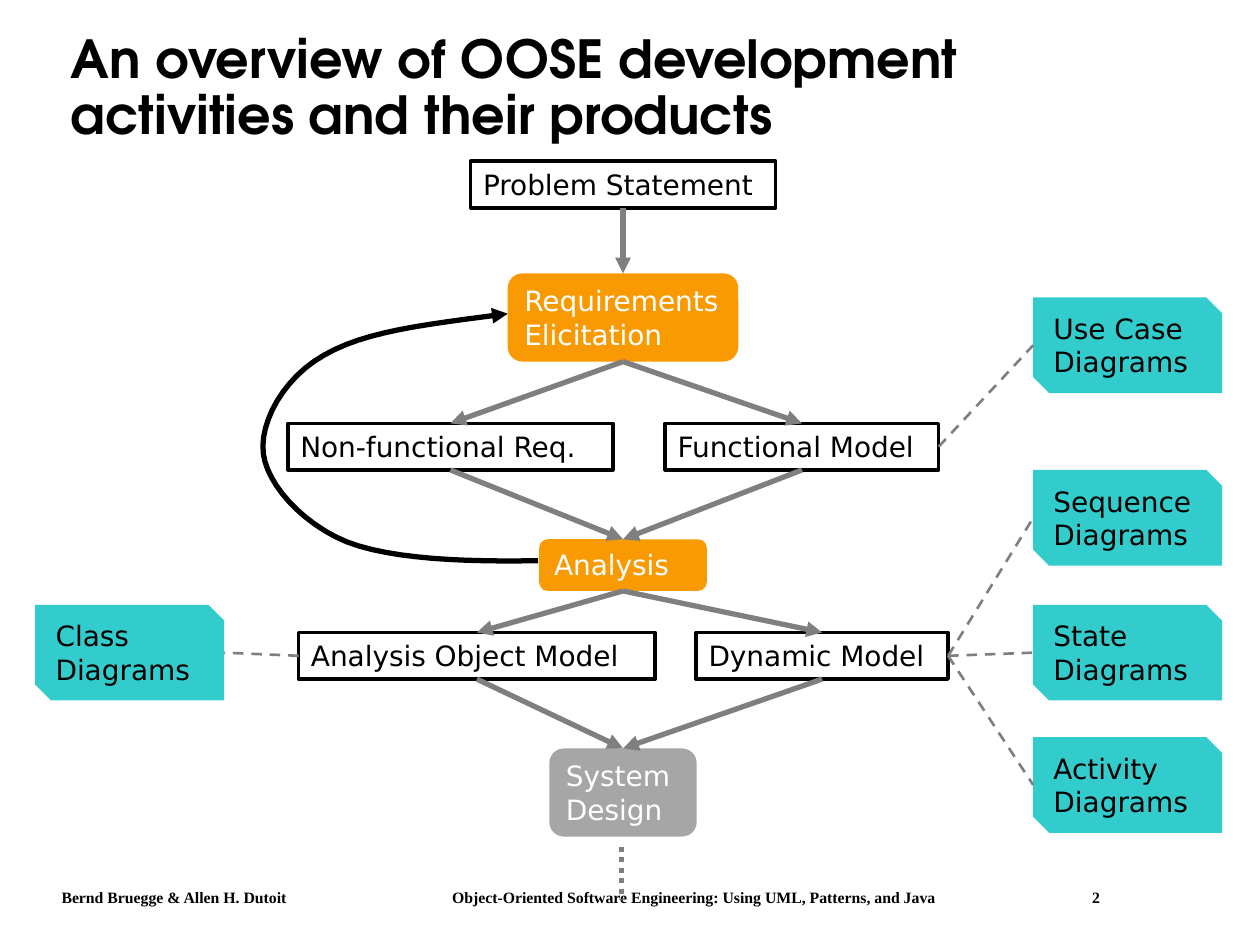
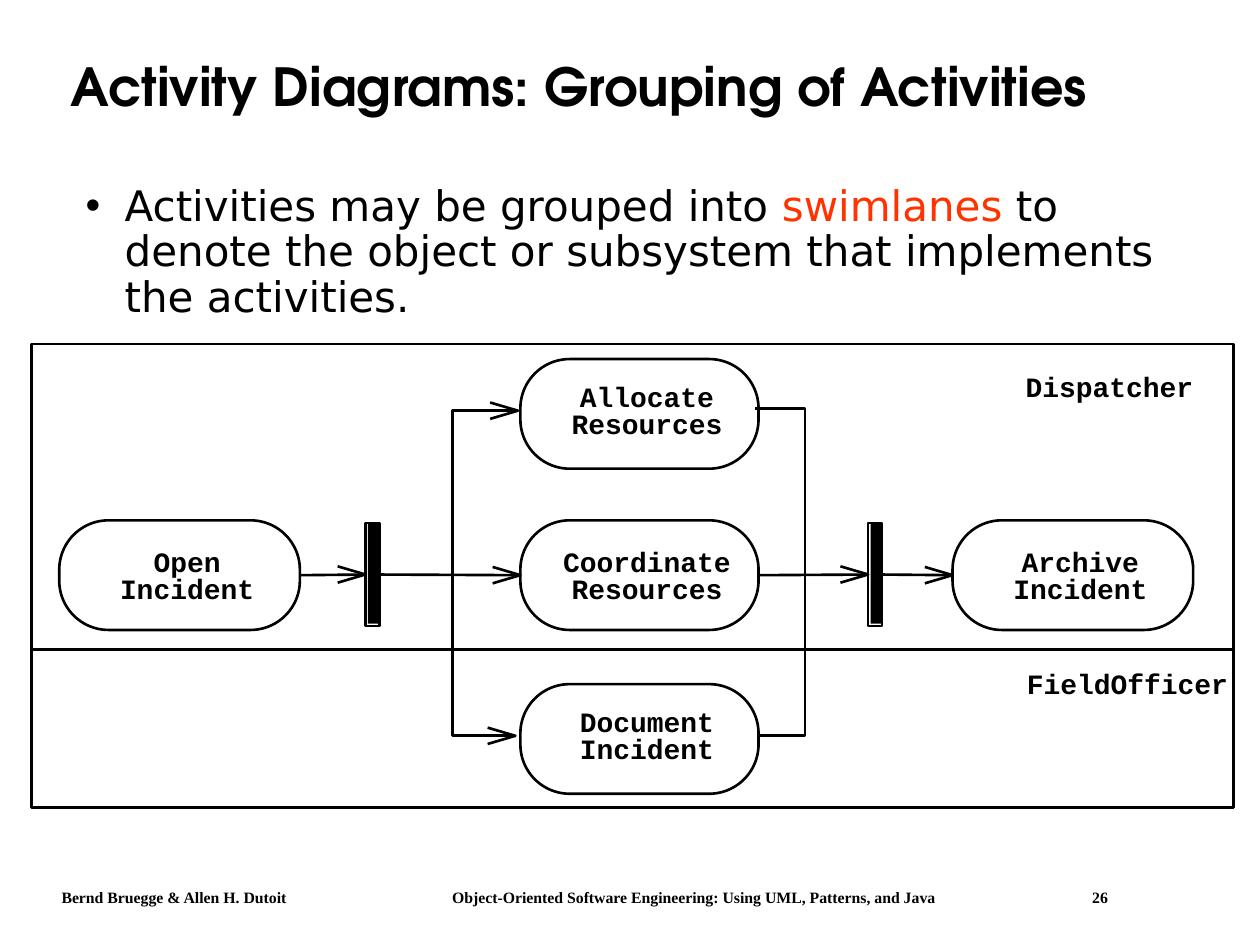
from dataclasses import dataclass

from lxml import etree
from pptx import Presentation
from pptx import util as u
from pptx.dml.color import RGBColor
from pptx.enum import dml, shapes, text
from pptx.oxml import ns

BLACK = RGBColor(0x00, 0x00, 0x00)
WHITE = RGBColor(0xFF, 0xFF, 0xFF)
ORANGE = RGBColor(0xF9, 0x9A, 0x03)
TEAL = RGBColor(0x33, 0xCC, 0xCC)
SILVER = RGBColor(0xA6, 0xA6, 0xA6)
GRAY = RGBColor(0x7F, 0x7F, 0x7F)
RED = RGBColor(0xFF, 0x33, 0x00)

COLUMNS = 100
SLIDE_W, SLIDE_H = u.Inches(10), u.Inches(7.5)
CELL = SLIDE_W // COLUMNS

TITLE_FONT = dict(name="TeX Gyre Adventor", size=u.Pt(30), bold=True)
BODY_FONT = dict(name="DejaVu Sans", size=u.Pt(24), bold=False)
NODE_FONT = dict(BODY_FONT, size=u.Pt(16))
CODE_FONT = dict(name="Courier New", size=u.Pt(16), bold=True)
FOOTER_FONT = dict(name="Times New Roman", size=u.Pt(9), bold=True)

TOP, LEFT, BOTTOM, RIGHT = range(4)
MSO = shapes.MSO_SHAPE
ALIGN = text.PP_ALIGN
ANCHOR = text.MSO_ANCHOR

AUTHORS = "Bernd Bruegge & Allen H. Dutoit"
BOOK = "Object-Oriented Software Engineering: Using UML, Patterns, and Java"


@dataclass(frozen=True)
class Box:
    x: float
    y: float
    w: float
    h: float

    def sub(self, x, y, w, h):
        return Box(self.x + x, self.y + y, w, h)

    def point(self, x, y):
        return grid(self.x + x), grid(self.y + y)

    def emu(self):
        return [grid(v) for v in (self.x, self.y, self.w, self.h)]


TITLE = Box(4.6, 2.4, 89.2, 9.4)
BODY = Box(5.8, 14.2, 87.5, 52.5)
FOOTER = Box(3.9, 70, 91.7, 2.5)
FLOW = Box(19.45, 12.8, 60, 58.6)
CARDS = Box(2.8, 23.6, 94.2, 42.5)
LANES = Box(2.5, 27.3, 95.4, 36.8)


def grid(cells):
    return u.Emu(round(cells * CELL))


def apply(obj, fmt):
    for name, value in fmt.items():
        setattr(obj, name, value)


def move(sp, box):
    apply(sp, dict(zip(("left", "top", "width", "height"), box.emu())))


def write(p, words, font, color=BLACK):
    r = p.add_run()
    r.text = words
    apply(r.font, font)
    r.font.color.rgb = color
    return r


def set_line(line, color, width, dash=None, arrow=False):
    line.color.rgb = color
    line.width = u.Pt(width)
    if dash:
        line.dash_style = dash
    if arrow:
        ln = line._get_or_add_ln()
        etree.SubElement(ln, ns.qn("a:tailEnd"), type="triangle")


def add_shape(s, kind, box, fill=None, line=None):
    sp = s.shapes.add_shape(kind, *box.emu())
    sp.shadow.inherit = False
    if fill is None:
        sp.fill.background()
    else:
        sp.fill.solid()
        sp.fill.fore_color.rgb = fill
    if line:
        set_line(sp.line, BLACK, line)
    else:
        sp.line.fill.background()
    return sp


def add_line(s, start, end, color, width, **style):
    sp = s.shapes.add_connector(shapes.MSO_CONNECTOR.STRAIGHT, *start, *end)
    set_line(sp.line, color, width, **style)
    etree.SubElement(sp._element.spPr, ns.qn("a:effectLst"))
    return sp


def link(s, source, source_side, target, target_side, color, width, **style):
    sp = add_line(s, (0, 0), (0, 0), color, width, **style)
    sp.begin_connect(source, source_side)
    sp.end_connect(target, target_side)
    return sp


def add_path(s, points, width, arrow=False):
    builder = s.shapes.build_freeform(*points[0])
    builder.add_line_segments(points[1:], close=False)
    sp = builder.convert_to_shape()
    sp.shadow.inherit = False
    sp.fill.background()
    set_line(sp.line, BLACK, width, arrow=arrow)


def fill_text(sp, words, font, color=BLACK, align=ALIGN.LEFT):
    tf = sp.text_frame
    apply(tf, dict(word_wrap=True, vertical_anchor=ANCHOR.TOP))
    p = tf.paragraphs[0]
    p.alignment = align
    write(p, words, font, color)
    return tf


def add_label(s, box, words):
    tf = s.shapes.add_textbox(*box.emu()).text_frame
    apply(tf, dict(margin_left=0, margin_right=0, margin_top=0,
                   margin_bottom=0, word_wrap=False))
    write(tf.paragraphs[0], words, CODE_FONT)


def add_footer(s, box, number):
    tf = s.shapes.add_textbox(*box.emu()).text_frame
    tf.word_wrap = True
    p = tf.paragraphs[0]
    tabs = etree.SubElement(p._p.get_or_add_pPr(), ns.qn("a:tabLst"))
    for stop in (31, 81.8):
        etree.SubElement(tabs, ns.qn("a:tab"), pos=str(grid(stop)), algn="l")
    write(p, f"{AUTHORS}\t{BOOK}\t{number}", FOOTER_FONT)


def add_slide(prs, layout, title, number):
    s = prs.slides.add_slide(prs.slide_layouts[layout])
    add_footer(s, FOOTER, number)
    sp = s.shapes.title
    move(sp, TITLE)
    tf = sp.text_frame
    apply(tf, dict(vertical_anchor=ANCHOR.MIDDLE, word_wrap=True,
                   auto_size=text.MSO_AUTO_SIZE.NONE))
    p = tf.paragraphs[0]
    apply(p, dict(alignment=ALIGN.LEFT, line_spacing=0.9))
    write(p, title, TITLE_FONT)
    return s


def bezier(p0, p1, p2, p3, steps=12):
    for i in range(1, steps + 1):
        t = i / steps
        weights = ((1 - t) ** 3, 3 * t * (1 - t) ** 2, 3 * t * t * (1 - t), t ** 3)
        yield tuple(sum(k * p[axis] for k, p in zip(weights, (p0, p1, p2, p3)))
                    for axis in (0, 1))


def draw_feedback(s, box):
    knots = [(23.25, 31.7), (17.55, 31.8), (11.65, 31.6), (8.05, 30.2),
             (4.45, 28.7), (1.75, 25.6), (1.45, 23.2),
             (1.15, 20.7), (3.05, 17.2), (6.25, 15.4),
             (9.55, 13.5), (13.95, 13), (20.85, 12.1)]
    points = [knots[0]]
    for i in range(0, len(knots) - 1, 3):
        points += bezier(*knots[i:i + 4])
    add_path(s, [box.point(*pt) for pt in points], 3, arrow=True)


def draw_flow(s, box):
    draw_feedback(s, box)
    axis = box.w / 2
    product = (MSO.RECTANGLE, WHITE, 2, BLACK)
    activity = (MSO.ROUNDED_RECTANGLE, ORANGE, None, WHITE)
    future = (MSO.ROUNDED_RECTANGLE, SILVER, None, WHITE)
    nodes = {}
    for words, shift, y, w, h, style in (
        ("Problem Statement", 0, 0, 24.2, 3.7, product),
        ("Requirements Elicitation", 0, 8.9, 18.3, 7, activity),
        ("Functional Model", 14.2, 20.8, 21.7, 3.7, product),
        ("Non-functional Req.", -13.7, 20.8, 25.8, 3.7, product),
        ("Analysis", 0, 30, 13.3, 4.1, activity),
        ("Analysis Object Model", -11.6, 37.4, 28.3, 3.7, product),
        ("Dynamic Model", 15.8, 37.4, 20, 3.7, product),
        ("System Design", 0, 46.6, 11.7, 7, future),
    ):
        kind, fill, line, color = style
        sp = add_shape(s, kind, box.sub(axis + shift - w / 2, y, w, h), fill, line)
        fill_text(sp, words, NODE_FONT, color)
        nodes[words] = sp
    problem, elicit, functional, nonfunc, analysis, objects, dynamic, design = nodes.values()
    for source, target in (
        (problem, elicit), (elicit, functional), (elicit, nonfunc),
        (nonfunc, analysis), (functional, analysis), (analysis, dynamic),
        (analysis, objects), (objects, design), (dynamic, design),
    ):
        link(s, source, BOTTOM, target, TOP, GRAY, 3, arrow=True)
    add_line(s, box.point(axis - 0.15, 54.4), box.point(axis - 0.15, 58.6),
             GRAY, 3, dash=dml.MSO_LINE.ROUND_DOT)
    return nodes


def draw_cards(s, box, nodes):
    w, h = 15, 7.6
    right = box.w - w
    for kind, x, y, model in (
        ("Use Case", right, 0, "Functional Model"),
        ("Sequence", right, 13.7, "Dynamic Model"),
        ("State", right, 24.4, "Dynamic Model"),
        ("Activity", right, 34.9, "Dynamic Model"),
        ("Class", 0, 24.4, "Analysis Object Model"),
    ):
        sp = add_shape(s, MSO.SNIP_2_DIAG_RECTANGLE, box.sub(x, y, w, h), TEAL)
        fill_text(sp, f"{kind} Diagrams", NODE_FONT)
        edge, side = (x, RIGHT) if x else (w, LEFT)
        tie = add_line(s, (0, 0), box.point(edge, y + h / 2), GRAY, 1.5,
                       dash=dml.MSO_LINE.DASH)
        tie.begin_connect(nodes[model], side)


def draw_bullet(s, box):
    sp = s.placeholders[1]
    move(sp, box)
    tf = sp.text_frame
    apply(tf, dict(vertical_anchor=ANCHOR.TOP, word_wrap=True,
                   auto_size=text.MSO_AUTO_SIZE.NONE))
    p = tf.paragraphs[0]
    apply(p, dict(line_spacing=0.9, space_before=u.Pt(9)))
    pPr = p._p.get_or_add_pPr()
    for name, indent in (("marL", 3.1), ("indent", -3.1)):
        pPr.set(name, str(grid(indent)))
    for words, color in (
        ("Activities may be grouped into ", BLACK),
        ("swimlanes", RED),
        (" to denote the object or subsystem that implements the activities.", BLACK),
    ):
        write(p, words, BODY_FONT, color)


def add_activity(s, box, words, drop):
    sp = add_shape(s, MSO.ROUNDED_RECTANGLE, box, line=1.5)
    sp.adjustments[0] = 0.45
    tf = fill_text(sp, words, CODE_FONT, align=ALIGN.CENTER)
    apply(tf, dict(margin_left=grid(1.2), margin_right=0,
                   margin_top=grid(drop), margin_bottom=0))
    tf.paragraphs[0].line_spacing = u.Pt(15.5)
    return sp


def add_bar(s, box):
    add_shape(s, MSO.RECTANGLE, box.sub(0.2, 0, box.w - 0.2, box.h - 0.2), BLACK)
    return add_shape(s, MSO.RECTANGLE, box, line=1.5)


def add_chevron(s, x, y):
    back, half = grid(2.2), grid(0.65)
    add_path(s, [(x - back, y - half), (x, y), (x - back, y + half)], 1.5)


def draw_swimlanes(s, box):
    middle = 14
    opened, allocate, coordinate, document, archive = (
        add_activity(s, box.sub(x, y, w, 8.7), words, drop)
        for words, x, y, w, drop in (
            ("Open Incident", 2.2, middle, 19.1, 1.3),
            ("Allocate Resources", 38.8, 1.2, 18.9, 1),
            ("Coordinate Resources", 38.8, middle, 18.9, 1.3),
            ("Document Incident", 38.8, 27, 18.9, 1),
            ("Archive Incident", 73.1, middle, 19.1, 1.3),
        ))
    fork, join = (add_bar(s, box.sub(x, middle + 0.2, 1.1, 8.2)) for x in (26.5, 66.4))
    steps = (opened, fork, coordinate, join, archive)
    for source, target in zip(steps, steps[1:]):
        sp = link(s, source, RIGHT, target, LEFT, BLACK, 1.5)
        add_chevron(s, sp.end_x, sp.end_y)
    split = [(38.6, 5.3), (33.4, 5.3), (33.4, 31.1), (38.4, 31.1)]
    merge = [(57.4, 5.1), (61.4, 5.1), (61.4, 31.1), (57.7, 31.1)]
    for path in (split, merge):
        add_path(s, [box.point(*pt) for pt in path], 1.5)
    for tip in (split[0], split[-1]):
        add_chevron(s, *box.point(*tip))
    for lane, y, h, label_x, label_y, label_w in (
        ("Dispatcher", 0, 24.3, 78.9, 2, 13.3),
        ("FieldOfficer", 24.2, 12.6, 79, 25.6, 16),
    ):
        add_shape(s, MSO.RECTANGLE, box.sub(0, y, box.w, h), line=1.5)
        add_label(s, box.sub(label_x, label_y, label_w, 2.7), lane)


def main():
    prs = Presentation()
    apply(prs, dict(slide_width=SLIDE_W, slide_height=SLIDE_H))
    s = add_slide(prs, 5, "An overview of OOSE development activities and their products", 2)
    draw_cards(s, CARDS, draw_flow(s, FLOW))
    s = add_slide(prs, 1, "Activity Diagrams: Grouping of Activities", 26)
    draw_bullet(s, BODY)
    draw_swimlanes(s, LANES)
    prs.save("out.pptx")


if __name__ == "__main__":
    main()
